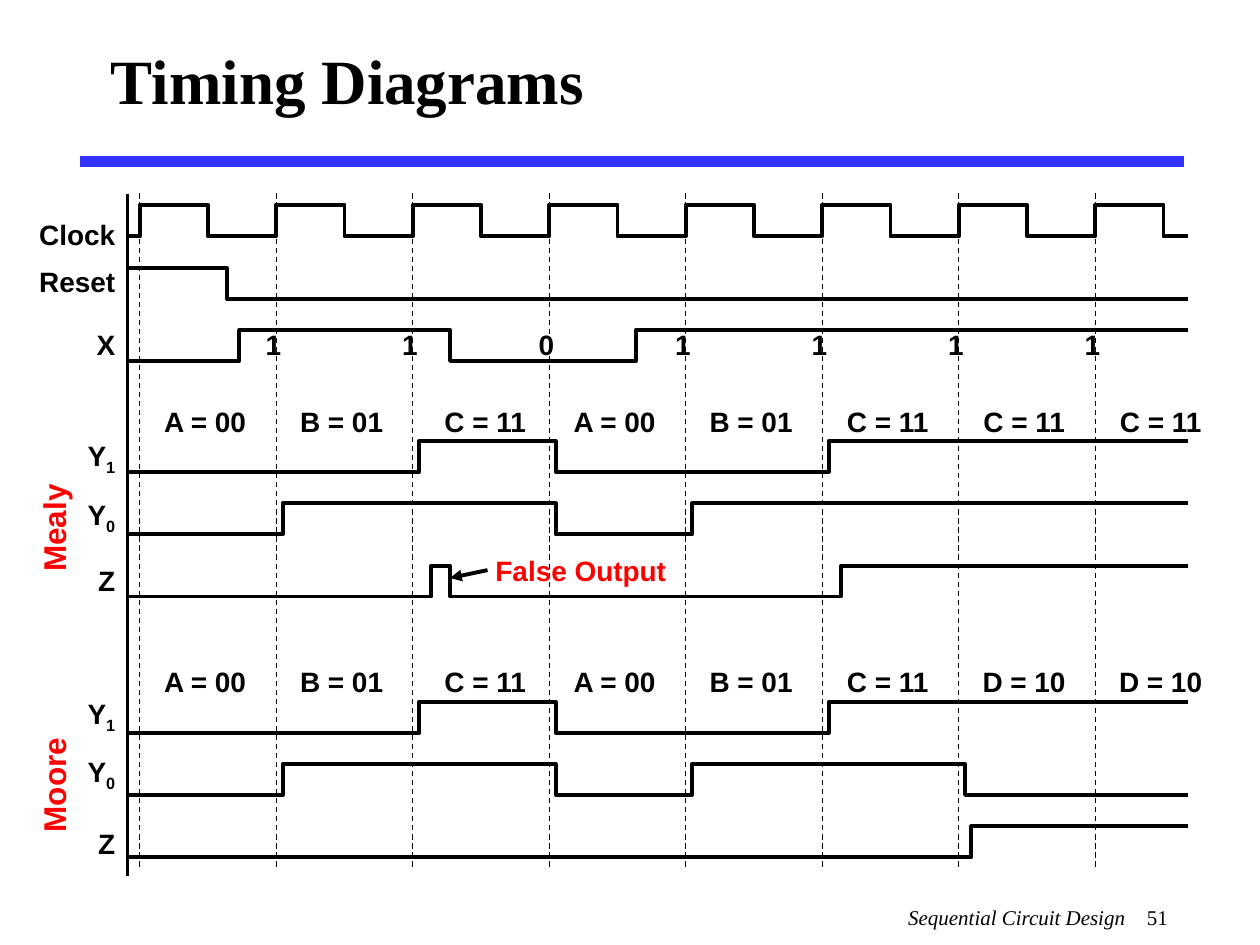
import pptx
import pptx.dml.color
import pptx.enum.dml
import pptx.enum.shapes
import pptx.enum.text
import pptx.oxml.xmlchemy
import pptx.util

Pt = pptx.util.Pt
ALIGN = pptx.enum.text.PP_ALIGN
COLORS = {"ink": "000000", "accent": "FF0000", "rule": "3333FF"}

AXIS, END = 72.9, 678.8
FIRST_EDGE, PERIOD = 79.9, 78
SWING = 17.7
STATE_DELAY, OUTPUT_DELAY = 3.6, 10.6


def edge(cycle, delay=0):
    return FIRST_EDGE + PERIOD * cycle + delay


def color(name):
    return pptx.dml.color.RGBColor.from_string(COLORS[name])


def add_element(parent, tag, **attributes):
    child = pptx.oxml.xmlchemy.OxmlElement(tag)
    for key, value in attributes.items():
        child.set(key, value)
    parent.append(child)
    return child


def style_line(shape, width, name="ink"):
    shape.line.color.rgb = color(name)
    shape.line.width = Pt(width)


def add_line(page, start, end, width, name="ink", dashed=False, arrow=False):
    line = page.shapes.add_connector(
        pptx.enum.shapes.MSO_CONNECTOR.STRAIGHT, *map(Pt, start + end))
    style_line(line, width, name)
    if dashed:
        line.line.dash_style = pptx.enum.dml.MSO_LINE.DASH
    if arrow:
        add_element(line.line._get_or_add_ln(), "a:tailEnd", type="triangle")
    add_element(line._element.spPr, "a:effectLst")
    return line


def add_wave(page, points):
    points = [(Pt(x), Pt(y)) for x, y in points]
    builder = page.shapes.build_freeform(*points[0])
    builder.add_line_segments(points[1:], close=False)
    wave = builder.convert_to_shape()
    wave.fill.background()
    wave.shadow.inherit = False
    style_line(wave, 2.25)


def add_signal(page, top, toggles, high=False):
    """Draw a two-level signal that changes level at each toggle."""
    y = top if high else top + SWING
    points = [(AXIS, y)]
    for x in toggles:
        points.append((x, y))
        y = 2 * top + SWING - y
        points.append((x, y))
    add_wave(page, points + [(END, y)])


def add_clock(page):
    high, low = 117, 135
    for cycle in range(8):
        rise = edge(cycle)
        fall = rise + PERIOD / 2
        start = rise - 7
        add_wave(page, [(start, low), (rise, low), (rise, high), (fall, high),
                        (fall, low), (min(start + PERIOD, END), low)])


def style_font(font, size, name="ink", family="Arial", bold=True):
    font.size, font.name, font.bold = Pt(size), family, bold
    font.color.rgb = color(name)


def add_label(page, text, left, top, width, height=19.4, align=ALIGN.CENTER,
              size=16, name="ink", subscript=""):
    box = page.shapes.add_textbox(Pt(left), Pt(top), Pt(width), Pt(height))
    frame = box.text_frame
    frame.word_wrap = True
    frame.margin_left = frame.margin_right = 0
    frame.margin_top = frame.margin_bottom = 0
    paragraph = frame.paragraphs[0]
    paragraph.alignment = align
    paragraph.add_run().text = text
    if subscript:
        span = paragraph.add_run()
        span.text = subscript
        span._r.get_or_add_rPr().set("baseline", "-25000")
    style_font(paragraph.font, size, name)
    return box


def add_row_label(page, text, top, subscript=""):
    add_label(page, text, 19.5, top, 46.3, 21.6 if subscript else 19.4,
              ALIGN.RIGHT, subscript=subscript)


def add_machine(page, name, name_top, states_top, states, rows):
    """Draw one machine: its side name, state labels and signal rows."""
    side = add_label(page, name, -1.4, name_top, 64, 21.6, size=18, name="accent")
    side.rotation = 270
    for cycle, state in enumerate(states):
        nudge = 4 if cycle == 2 else 0
        add_label(page, state, edge(cycle, 7.1 + nudge), states_top, 60.5)
    for text, subscript, label_top, top, toggles in rows:
        add_row_label(page, text, label_top, subscript)
        add_signal(page, top, toggles)


def add_title(page):
    title = page.shapes.title
    title.left, title.top, title.width, title.height = map(Pt, (56.2, 5, 612, 80.6))
    title.text_frame.text = "Timing Diagrams"
    title.text_frame.vertical_anchor = pptx.enum.text.MSO_ANCHOR.MIDDLE
    paragraph = title.text_frame.paragraphs[0]
    paragraph.alignment = ALIGN.LEFT
    style_font(paragraph.font, 36, family="Times New Roman")


def add_footer(page):
    box = page.shapes.add_textbox(Pt(511.9), Pt(513.4), Pt(167.8), Pt(26.6))
    box.text_frame.word_wrap = True
    paragraph = box.text_frame.paragraphs[0]
    tabs = add_element(paragraph._p.get_or_add_pPr(), "a:tabLst")
    add_element(tabs, "a:tab", pos=str(int(Pt(136.4))), algn="l")
    for text, italic in (("Sequential Circuit Design\t", True), ("51", False)):
        span = paragraph.add_run()
        span.text = text
        span.font.italic = italic
    style_font(paragraph.font, 12, family="Times New Roman", bold=False)


def main():
    deck = pptx.Presentation()
    deck.slide_width, deck.slide_height = Pt(720), Pt(540)
    page = deck.slides.add_slide(deck.slide_layouts[5])

    add_line(page, (46, 92.2), (676.8, 92.2), 6, "rule")
    add_footer(page)
    add_title(page)

    add_clock(page)
    add_line(page, (AXIS, 110.6), (AXIS, 500.4), 2.25)
    for cycle in range(8):
        add_line(page, (edge(cycle), 110.5), (edge(cycle), 496.2), 0.75, dashed=True)

    input_fall = 257.2
    for text, top in (("Clock", 124.6), ("Reset", 151.2), ("X", 187.2)):
        add_row_label(page, text, top)
    add_signal(page, 153.2, [129.8], high=True)
    add_signal(page, 188.6, [136.8, input_fall, 363.6])
    for cycle, value in enumerate("1101111", start=1):
        add_label(page, value, edge(cycle, -6.9), 187.2, 10.4)

    y1 = [edge(cycle, STATE_DELAY) for cycle in (2, 3, 5)]
    y0 = [edge(cycle, STATE_DELAY) for cycle in (1, 3, 4)]
    states = ["A = 00", "B = 01", "C = 11", "A = 00", "B = 01", "C = 11"]
    add_machine(page, "Mealy", 290.9, 231.1, states + ["C = 11"] * 2, [
        ("Y", "1", 250.6, 252, y1),
        ("Y", "0", 284.4, 287.7, y0),
        ("Z", "", 321.8, 323.2,
         [edge(2, OUTPUT_DELAY), input_fall, edge(5, OUTPUT_DELAY)]),
    ])
    add_machine(page, "Moore", 437.8, 380, states + ["D = 10"] * 2, [
        ("Y", "1", 398.2, 401.1, y1),
        ("Y", "0", 431.3, 436.6, y0 + [edge(6, STATE_DELAY)]),
        ("Z", "", 472.3, 472.1, [edge(6, 2 * STATE_DELAY)]),
    ])

    note = add_label(page, "False Output", 278.6, 316.1, 106.6, name="accent")
    pointer = add_line(page, (278.6, 326.9), (input_fall, 330.3), 2.25, arrow=True)
    pointer.begin_connect(note, 1)

    deck.save("out.pptx")


if __name__ == "__main__":
    main()
